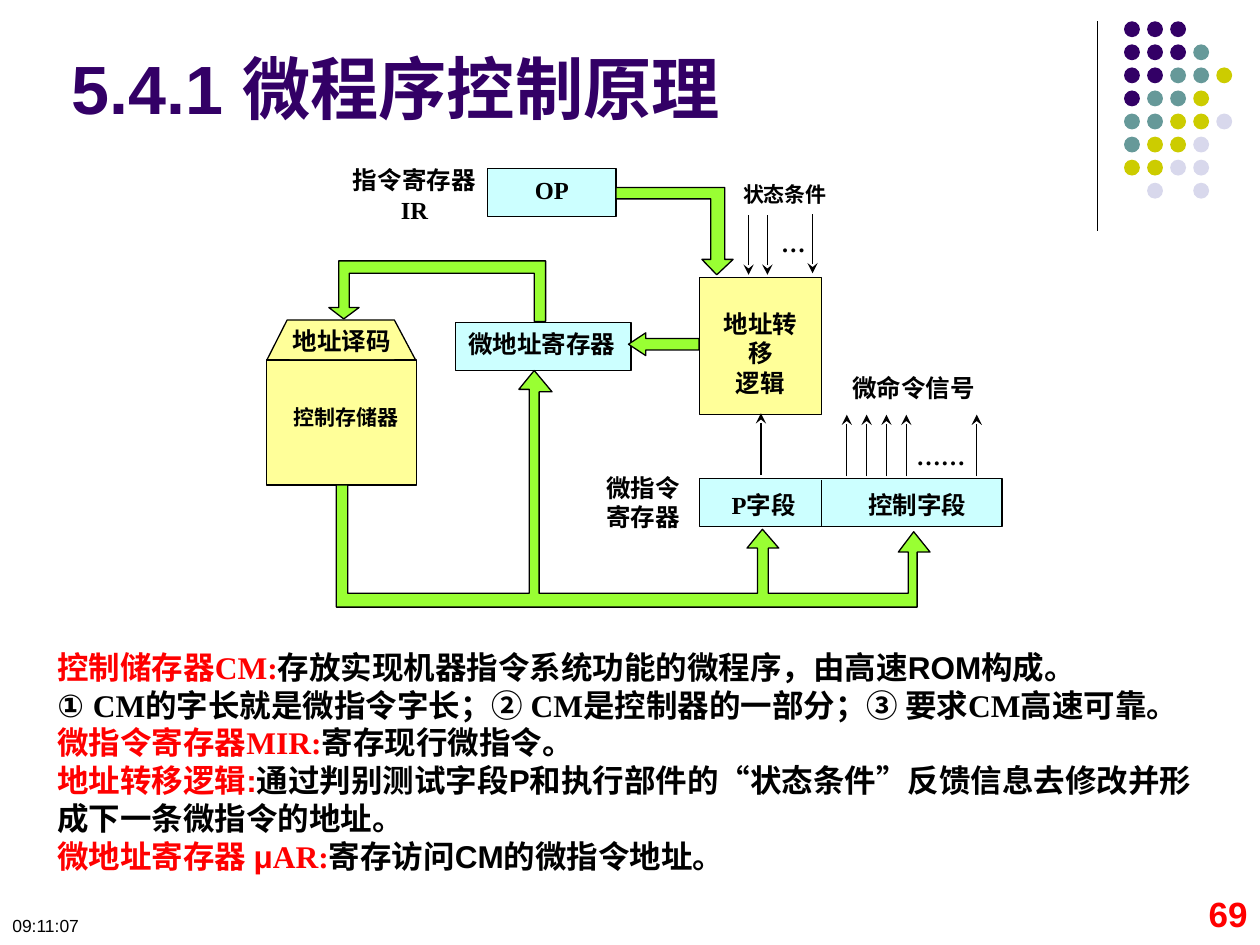
"""Builds the slide on the principle of microprogrammed control."""
import pptx
import pptx.dml.color
import pptx.enum.shapes
import pptx.enum.text
import pptx.oxml.ns
import pptx.util
from lxml import etree

Cm = pptx.util.Cm
SHAPE = pptx.enum.shapes.MSO_SHAPE
ALIGN = pptx.enum.text.PP_ALIGN
SERIF, SANS = "Times New Roman", "Arial"
BLACK, RED, PURPLE = "000000", "FF0000", "330066"
CYAN, YELLOW, GREEN = "CCFFFF", "FFFF99", "99FF33"
INSET, FLUSH, LOGIC_INSET = (0.25, 0.13), (0, 0), (0.25, 0.64)

DOTS = ["PPP..", "PPPT.", "PPTTY", "PTTY.", "TTYYL", "TYYL.", "YYLL.", ".L.L."]
DOT_COLORS = {"P": PURPLE, "T": "669999", "Y": "CCCC00", "L": "D8D8EC"}
DOT_LEFT, DOT_TOP, DOT_STEP, DOT_SIZE = 22.66, 0.43, 0.465, 0.32

DECODER = [(5.79, 6.45), (7.95, 6.45), (8.38, 7.26), (5.38, 7.26)]

# place, fill, outlined, paragraphs, size, alignment, insets
BOXES = [
    ((14.1, 9.65, 6.1, 0.97), CYAN, True, [], 14, ALIGN.CENTER, INSET),
    ((14.1, 5.59, 2.46, 2.77), YELLOW, True, ["地址转移", "逻辑"], 14, ALIGN.CENTER, LOGIC_INSET),
    ((9.83, 3.4, 2.59, 0.97), CYAN, True, ["OP"], 14, ALIGN.CENTER, INSET),
    ((9.19, 6.5, 3.53, 0.97), CYAN, True, ["微地址寄存器"], 14, ALIGN.LEFT, INSET),
    ((5.38, 7.26, 3.02, 2.52), YELLOW, True, [], 14, ALIGN.CENTER, INSET),
    ((5.84, 6.58, 2.11, 0.66), YELLOW, False, ["地址译码"], 14, ALIGN.CENTER, FLUSH),
    ((5.92, 8.15, 2.13, 0.79), YELLOW, False, ["控制存储器"], 12, ALIGN.LEFT, FLUSH),
]
LABELS = [
    ((14.38, 9.88, 2.03, 0.69), ["P字段"], 14, ALIGN.CENTER),
    ((17.2, 9.88, 2.59, 0.69), ["控制字段"], 14, ALIGN.CENTER),
    ((18.21, 8.89, 1.52, 0.69), ["……"], 14, ALIGN.CENTER),
    ((17.12, 7.52, 2.59, 0.66), ["微命令信号"], 14, ALIGN.CENTER),
    ((7.06, 3.33, 2.59, 0.69), ["指令寄存器IR"], 14, ALIGN.CENTER),
    ((15.75, 4.6, 0.56, 0.69), ["…"], 14, ALIGN.LEFT),
    ((14.86, 3.66, 1.93, 0.61), ["状态条件"], 12, ALIGN.CENTER),
    ((12.19, 9.53, 1.52, 1.35), ["微指令", "寄存器"], 14, ALIGN.RIGHT),
]
SIGNALS = [(x, 9.6, 8.36) for x in (17.07, 17.47, 17.87, 18.27, 19.69)]
SIGNALS += [(15.34, 9.58, 8.33), (15.09, 4.34, 5.54), (15.47, 4.34, 5.54), (16.38, 4.32, 5.51)]
DIVIDERS = [(22.12, 0.43, 4.65), (16.56, 9.68, 10.62)]
FLOWS = [
    [(14.45, 5.54), (14.15, 5.23), (14.33, 5.23), (14.33, 4.01), (12.42, 4.01),
     (12.42, 3.78), (14.61, 3.78), (14.61, 5.23), (14.78, 5.23)],
    [(10.77, 6.48), (10.77, 5.51), (7.04, 5.51), (7.04, 6.2), (7.24, 6.2), (6.93, 6.43),
     (6.63, 6.2), (6.83, 6.2), (6.83, 5.26), (11, 5.26), (11, 6.48)],
    [(7.01, 9.78), (7.01, 11.96), (10.67, 11.96), (10.67, 7.85), (10.46, 7.85),
     (10.77, 7.47), (11.13, 7.9), (10.87, 7.9), (10.87, 11.96), (15.27, 11.96),
     (15.27, 11.05), (15.06, 11.05), (15.37, 10.67), (15.7, 11.05), (15.49, 11.05),
     (15.49, 11.96), (18.31, 11.96), (18.31, 11.13), (18.11, 11.13), (18.42, 10.72),
     (18.75, 11.13), (18.49, 11.13), (18.49, 12.24), (6.78, 12.24), (6.78, 9.78)],
]
NOTES = [
    [("控制储存器CM:", SERIF, RED), ("存放实现机器指令系统功能的微程序，由高速ROM构成。", SANS, BLACK)],
    [("① ", SANS, BLACK), ("CM", SERIF, BLACK), ("的字长就是微指令字长；② ", SANS, BLACK),
     ("CM", SERIF, BLACK), ("是控制器的一部分；③ 要求", SANS, BLACK),
     ("CM", SERIF, BLACK), ("高速可靠。", SANS, BLACK)],
    [("微指令寄存器", SANS, RED), ("MIR:", SERIF, RED), ("寄存现行微指令。", SANS, BLACK)],
    [("地址转移逻辑:", SANS, RED),
     ("通过判别测试字段P和执行部件的“状态条件”反馈信息去修改并形成下一条微指令的地址。", SANS, BLACK)],
    [("微地址寄存器 μ", SANS, RED), ("AR:", SERIF, RED), ("寄存访问CM的微指令地址。", SANS, BLACK)],
]
PAGE_TEXTS = [
    ((1.19, 0.81, 14.43, 1.8), "5.4.1 微程序控制原理", 39, PURPLE, True, ALIGN.LEFT),
    ((0, 18.31, 5.92, 0.74), "09:11:07", 10, BLACK, False, ALIGN.LEFT),
    ((23.9, 17.86, 1.5, 1.27), "69", 20, RED, True, ALIGN.RIGHT),
]


def rgb(color):
    return pptx.dml.color.RGBColor.from_string(color)


def paint(sp, fill, outlined=True):
    sp.shadow.inherit = False
    sp.fill.solid()
    sp.fill.fore_color.rgb = rgb(fill)
    if outlined:
        sp.line.color.rgb = rgb(BLACK)
        sp.line.width = pptx.util.Pt(0.75)
    else:
        sp.line.fill.background()


def add_shape(s, kind, place, fill, outlined=True):
    sp = s.shapes.add_shape(kind, *map(Cm, place))
    paint(sp, fill, outlined)
    return sp


def add_polygon(s, points, fill):
    points = [(Cm(x), Cm(y)) for x, y in points]
    builder = s.shapes.build_freeform(*points[0], scale=1.0)
    builder.add_line_segments(points[1:], close=True)
    paint(builder.convert_to_shape(), fill)


def add_line(s, x, y1, y2, arrow=False):
    sp = s.shapes.add_connector(pptx.enum.shapes.MSO_CONNECTOR.STRAIGHT, Cm(x), Cm(y1), Cm(x), Cm(y2))
    sp.line.color.rgb = rgb(BLACK)
    sp.line.width = pptx.util.Pt(0.75)
    qn = pptx.oxml.ns.qn
    if arrow:
        etree.SubElement(sp.line._get_or_add_ln(), qn("a:tailEnd"), type="stealth")
    etree.SubElement(sp._element.spPr, qn("a:effectLst"))


def write(sp, paragraphs, size, align, insets=INSET, font=SERIF, color=BLACK, bold=True):
    tf = sp.text_frame
    tf.word_wrap = True
    tf.vertical_anchor = pptx.enum.text.MSO_ANCHOR.TOP
    tf.margin_left = tf.margin_right = Cm(insets[0])
    tf.margin_top = tf.margin_bottom = Cm(insets[1])
    for i, content in enumerate(paragraphs):
        p = tf.add_paragraph() if i else tf.paragraphs[0]
        p.alignment = align
        p.font.size = pptx.util.Pt(size)
        p.font.bold = bold
        if isinstance(content, str):
            p.font.name = font
            p.font.color.rgb = rgb(color)
            p.add_run().text = content
            continue
        for text, run_font, run_color in content:
            r = p.add_run()
            r.text = text
            r.font.name = run_font
            r.font.color.rgb = rgb(run_color)


def add_text(s, place, *args, **kwargs):
    write(s.shapes.add_textbox(*map(Cm, place)), *args, **kwargs)


def main():
    prs = pptx.Presentation()
    prs.slide_width, prs.slide_height = Cm(25.4), Cm(19.05)
    s = prs.slides.add_slide(prs.slide_layouts[6])
    for row, marks in enumerate(DOTS):
        for col, mark in enumerate(marks):
            if mark in DOT_COLORS:
                place = (DOT_LEFT + col * DOT_STEP, DOT_TOP + row * DOT_STEP, DOT_SIZE, DOT_SIZE)
                add_shape(s, SHAPE.OVAL, place, DOT_COLORS[mark], False)
    add_polygon(s, DECODER, YELLOW)
    for place, fill, outlined, paragraphs, size, align, insets in BOXES:
        write(add_shape(s, SHAPE.RECTANGLE, place, fill, outlined), paragraphs, size, align, insets)
    arrow = add_shape(s, SHAPE.LEFT_ARROW, (12.67, 6.71, 1.42, 0.46), GREEN)
    arrow.adjustments[1] = 0.76
    for x, y1, y2 in DIVIDERS:
        add_line(s, x, y1, y2)
    for x, y1, y2 in SIGNALS:
        add_line(s, x, y1, y2, arrow=True)
    for place, paragraphs, size, align in LABELS:
        add_text(s, place, paragraphs, size, align, FLUSH)
    for points in FLOWS:
        add_polygon(s, points, GREEN)
    add_text(s, (0.91, 12.93, 23.75, 4.88), NOTES, 18, ALIGN.LEFT)
    for place, text, size, color, bold, align in PAGE_TEXTS:
        add_text(s, place, [text], size, align, font=SANS, color=color, bold=bold)
    prs.save("out.pptx")


if __name__ == "__main__":
    main()
